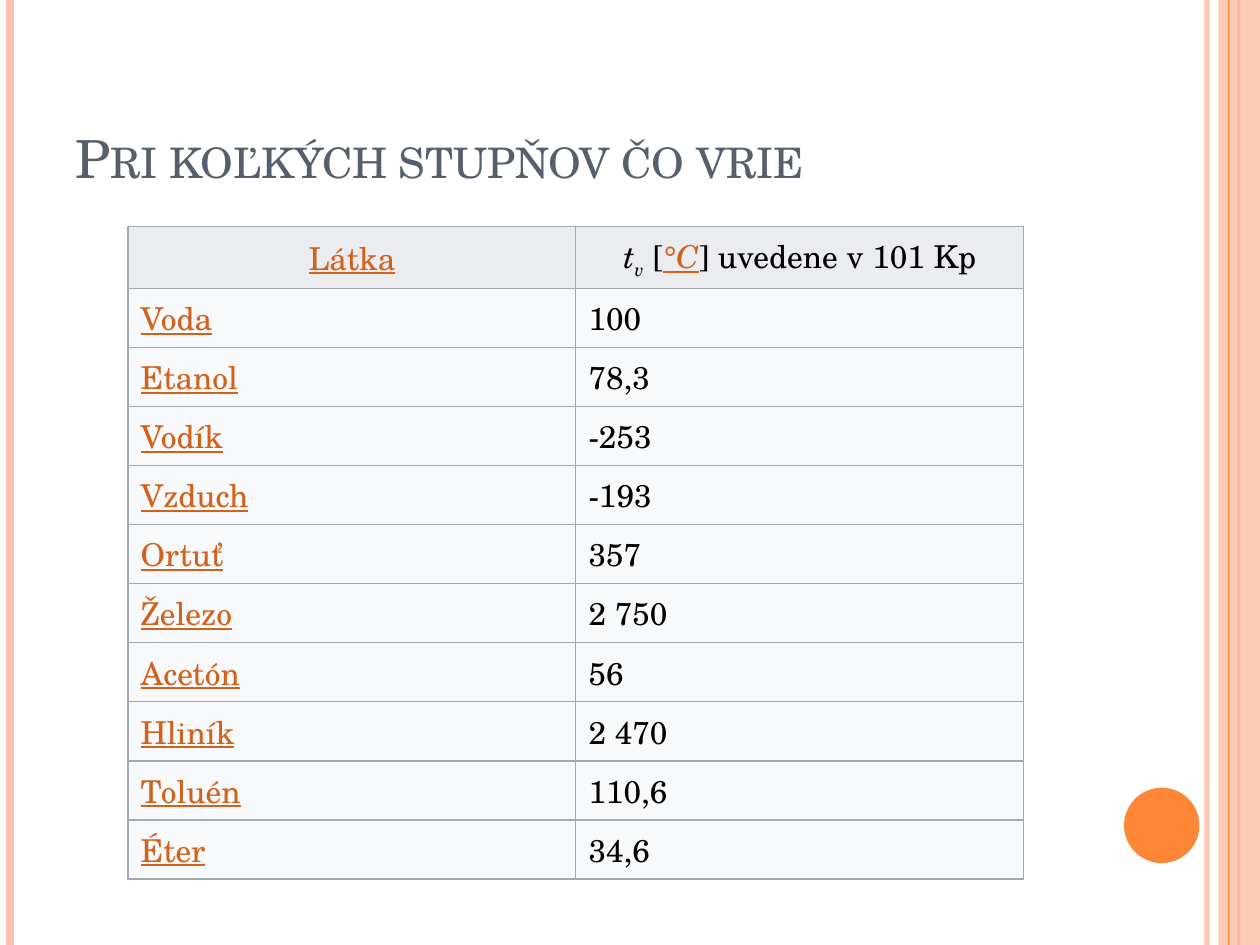
import pptx
import pptx.dml.color
import pptx.enum.shapes
import pptx.enum.text
import pptx.oxml
import pptx.oxml.ns
import pptx.util
from lxml import etree

Cm = pptx.util.Cm
Pt = pptx.util.Pt
RGBColor = pptx.dml.color.RGBColor
MSO_SHAPE = pptx.enum.shapes.MSO_SHAPE
MSO_ANCHOR = pptx.enum.text.MSO_ANCHOR
PP_ALIGN = pptx.enum.text.PP_ALIGN
qn = pptx.oxml.ns.qn

PEACH = RGBColor(0xFE, 0xC3, 0xAE)
ORANGE = RGBColor(0xFE, 0x86, 0x37)
SLATE = RGBColor(0x57, 0x5F, 0x6D)
LINK = RGBColor(0xD2, 0x61, 0x1C)
BLACK = RGBColor(0, 0, 0)
HEADER_FILL = RGBColor(0xEA, 0xEC, 0xF0)
BODY_FILL = RGBColor(0xF8, 0xF9, 0xFA)
BORDER = RGBColor(0xA2, 0xA9, 0xB1)

PLAIN_TEXT = {"color": BLACK}
LINK_TEXT = {"color": LINK, "underline": True}
ITALIC_TEXT = {"color": BLACK, "italic": True}

HEADER = [
    [("Látka", LINK_TEXT)],
    [
        ("t", ITALIC_TEXT),
        ("v", {**ITALIC_TEXT, "baseline": "-25000"}),
        (" [", PLAIN_TEXT),
        ("°C", {**LINK_TEXT, "italic": True}),
        ("] uvedene v 101 Kp", PLAIN_TEXT),
    ],
]
BOILING_POINTS = [
    ("Voda", "100"),
    ("Etanol", "78,3"),
    ("Vodík", "-253"),
    ("Vzduch", "-193"),
    ("Ortuť", "357"),
    ("Železo", "2 750"),
    ("Acetón", "56"),
    ("Hliník", "2 470"),
    ("Toluén", "110,6"),
    ("Éter", "34,6"),
]


class SlideBuilder:
    font_name = "TeX Gyre Schola"
    text_size = Pt(18)

    def __init__(self, page):
        self.page = page

    def set_opacity(self, element, percent):
        color = element.find(".//" + qn("a:srgbClr"))
        etree.SubElement(color, qn("a:alpha")).set("val", str(percent * 1000))

    def add_stripe(self, x, color, width, opacity=100):
        """Draw a vertical line over the full slide height."""
        stripe = self.page.shapes.add_connector(
            pptx.enum.shapes.MSO_CONNECTOR.STRAIGHT, Cm(x), Cm(0), Cm(x), Cm(19.05))
        stripe.line.color.rgb = color
        stripe.line.width = Pt(width)
        properties = stripe._element.spPr
        if opacity < 100:
            self.set_opacity(properties, opacity)
        etree.SubElement(properties, qn("a:effectLst"))

    def add_filled_shape(self, kind, left, top, width, height, color, opacity=100):
        shape = self.page.shapes.add_shape(kind, Cm(left), Cm(top), Cm(width), Cm(height))
        shape.shadow.inherit = False
        shape.fill.solid()
        shape.fill.fore_color.rgb = color
        shape.line.fill.background()
        if opacity < 100:
            self.set_opacity(shape._element.spPr, opacity)

    def add_span(self, para, text, style):
        span = para.add_run()
        span.text = text
        values = {"name": self.font_name, "size": self.text_size, **style}
        span.font.color.rgb = values.pop("color")
        for name, value in values.items():
            if name in ("cap", "baseline"):
                span._r.get_or_add_rPr().set(name, value)
            else:
                setattr(span.font, name, value)

    def add_title(self, text, left, top, width, height):
        box = self.page.shapes.add_textbox(Cm(left), Cm(top), Cm(width), Cm(height))
        box.text_frame.word_wrap = True
        box.text_frame.vertical_anchor = MSO_ANCHOR.BOTTOM
        style = {"size": Pt(30), "color": SLATE, "cap": "small"}
        self.add_span(box.text_frame.paragraphs[0], text, style)

    def add_borders(self, cell):
        properties = cell._tc.get_or_add_tcPr()
        for side in ("lnL", "lnR", "lnT", "lnB"):
            line = etree.SubElement(properties, qn("a:" + side), w=str(Pt(0.75)))
            fill = etree.SubElement(line, qn("a:solidFill"))
            etree.SubElement(fill, qn("a:srgbClr"), val=str(BORDER))

    def fill_cell(self, cell, spans, color, alignment):
        cell.vertical_anchor = MSO_ANCHOR.MIDDLE
        self.add_borders(cell)
        cell.fill.solid()
        cell.fill.fore_color.rgb = color
        para = cell.text_frame.paragraphs[0]
        para.alignment = alignment
        for text, style in spans:
            self.add_span(para, text, style)

    def add_boiling_table(self, left, top, column_width, header_height, row_height):
        height = header_height + row_height * len(BOILING_POINTS)
        table = self.page.shapes.add_table(
            len(BOILING_POINTS) + 1, 2,
            Cm(left), Cm(top), Cm(2 * column_width), Cm(height)).table
        table.first_row = table.horz_banding = False
        for row in table.rows:
            row.height = Cm(row_height)
        table.rows[0].height = Cm(header_height)
        for column, spans in enumerate(HEADER):
            self.fill_cell(table.cell(0, column), spans, HEADER_FILL, PP_ALIGN.CENTER)
        for row, (substance, degrees) in enumerate(BOILING_POINTS, start=1):
            body = [(substance, LINK_TEXT)], [(degrees, PLAIN_TEXT)]
            for column, spans in enumerate(body):
                self.fill_cell(table.cell(row, column), spans, BODY_FILL, PP_ALIGN.LEFT)


def main():
    deck = pptx.Presentation()
    deck.slide_width, deck.slide_height = Cm(25.4), Cm(19.05)
    builder = SlideBuilder(deck.slides.add_slide(deck.slide_layouts[6]))

    builder.add_stripe(24.33, PEACH, 3, opacity=93)
    builder.add_stripe(0.2, PEACH, 4.5)
    builder.add_stripe(24.97, ORANGE, 1.5)
    builder.add_filled_shape(MSO_SHAPE.RECTANGLE, 24.56, 0, 0.84, 19.05, PEACH, opacity=87)
    builder.add_stripe(24.77, ORANGE, 0.75)
    builder.add_filled_shape(MSO_SHAPE.OVAL, 22.66, 15.88, 1.52, 1.52, ORANGE)

    builder.add_title("Pri koľkých stupňov čo vrie", 1.27, 0.76, 20.75, 3.18)
    builder.add_boiling_table(2.58, 4.56, 9.03, 1.26, 1.19)
    deck.save("out.pptx")


if __name__ == "__main__":
    main()
